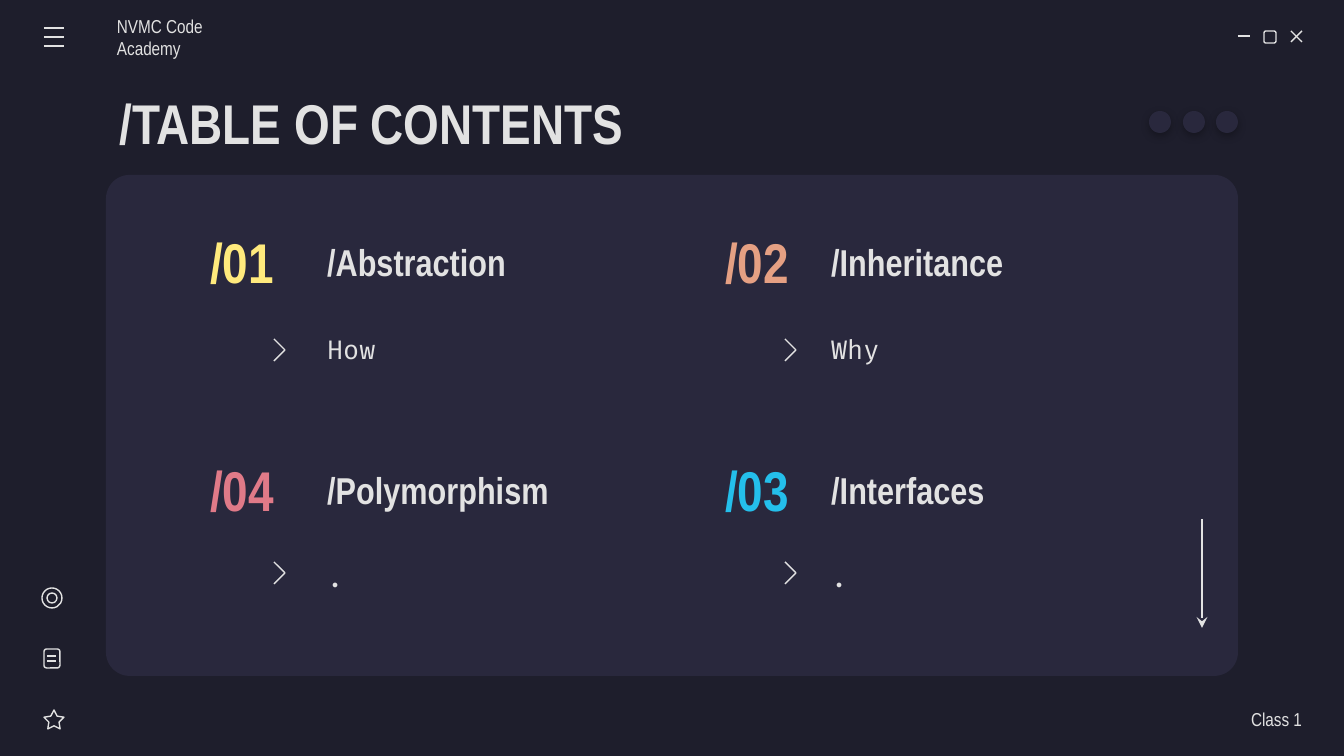
from dataclasses import dataclass

import lxml.etree
import pptx
import pptx.dml.color
import pptx.enum.shapes
import pptx.enum.text
import pptx.oxml
import pptx.oxml.ns
import pptx.util

SHAPE = pptx.enum.shapes.MSO_SHAPE
ALIGN = pptx.enum.text.PP_ALIGN
SHADOW_XML = (
    '<a:effectLst xmlns:a="http://schemas.openxmlformats.org/drawingml/2006/main">'
    '<a:outerShdw blurRad="57150" dist="19050" dir="5400000" algn="bl" rotWithShape="0">'
    '<a:srgbClr val="000000"><a:alpha val="30000"/></a:srgbClr>'
    '</a:outerShdw></a:effectLst>'
)


@dataclass(frozen=True)
class Theme:
    background: str = "1E1E2C"
    panel: str = "29283D"
    ink: str = "E2E2E2"
    yellow: str = "FFEA7D"
    orange: str = "E5A083"
    pink: str = "E07A88"
    blue: str = "24BFEB"
    heading_font: str = "Arial Narrow"
    code_font: str = "Fira Code"
    title_size: int = 30
    topic_size: int = 20
    detail_size: int = 14
    small_size: int = 10
    line_width: float = 0.75


def px(length):
    return pptx.util.Emu(round(length * 9144000 / 1344))


def rgb(code):
    return pptx.dml.color.RGBColor.from_string(code)


class SlideBuilder:
    def __init__(self, theme, slide):
        self.theme = theme
        self.slide = slide
        fill = slide.background.fill
        fill.solid()
        fill.fore_color.rgb = rgb(theme.background)

    def format_text(self, holder, box, words, size, color=None, font=None,
                    bold=False, align=ALIGN.LEFT, left_inset=0.1, right_inset=0.1):
        holder.left, holder.top, holder.width, holder.height = map(px, box)
        frame = holder.text_frame
        frame.word_wrap = True
        frame.auto_size = pptx.enum.text.MSO_AUTO_SIZE.NONE
        frame.vertical_anchor = pptx.enum.text.MSO_ANCHOR.MIDDLE
        frame.margin_left = pptx.util.Inches(left_inset)
        frame.margin_right = pptx.util.Inches(right_inset)
        frame.margin_top = frame.margin_bottom = pptx.util.Inches(0.1)
        frame.text = words
        paragraph = frame.paragraphs[0]
        paragraph.alignment = align
        paragraph.font.name = font or self.theme.heading_font
        paragraph.font.size = pptx.util.Pt(size)
        paragraph.font.bold = bold
        paragraph.font.color.rgb = rgb(color or self.theme.ink)

    def title(self, box, words):
        self.format_text(self.slide.shapes.title, box, words, self.theme.title_size, bold=True)

    def text(self, box, words, size, **style):
        holder = self.slide.shapes.add_textbox(*map(px, box))
        self.format_text(holder, box, words, size, **style)

    def stroke(self, line):
        line.color.rgb = rgb(self.theme.ink)
        line.width = pptx.util.Pt(self.theme.line_width)

    def solid(self, kind, box, corner=None, shadow=False):
        shape = self.slide.shapes.add_shape(kind, *map(px, box))
        shape.fill.solid()
        shape.fill.fore_color.rgb = rgb(self.theme.panel)
        shape.line.fill.background()
        if corner is not None:
            shape.adjustments[0] = corner
        if shadow:
            shape._element.spPr.append(pptx.oxml.parse_xml(SHADOW_XML))
        else:
            shape.shadow.inherit = False

    def outline(self, kind, box, adjustment=None):
        shape = self.slide.shapes.add_shape(kind, *map(px, box))
        shape.shadow.inherit = False
        shape.fill.background()
        self.stroke(shape.line)
        if adjustment is not None:
            shape.adjustments[0] = adjustment

    def line(self, x1, y1, x2, y2, arrow=False):
        connector = self.slide.shapes.add_connector(
            pptx.enum.shapes.MSO_CONNECTOR.STRAIGHT, px(x1), px(y1), px(x2), px(y2))
        self.stroke(connector.line)
        qn = pptx.oxml.ns.qn
        if arrow:
            lxml.etree.SubElement(connector.line._get_or_add_ln(), qn("a:tailEnd"), type="stealth")
        lxml.etree.SubElement(connector._element.spPr, qn("a:effectLst"))

    def chevron(self, left, top):
        outline = self.slide.shapes.build_freeform(px(left), px(top))
        outline.add_line_segments(
            [(px(left + 11), px(top + 11)), (px(left), px(top + 22))], close=False)
        shape = outline.convert_to_shape()
        shape.shadow.inherit = False
        shape.fill.background()
        self.stroke(shape.line)


def draw_window_frame(page):
    page.solid(SHAPE.ROUNDED_RECTANGLE, (106, 175, 1132, 501), corner=0.047)
    page.line(1238, 36, 1250, 36)
    page.outline(SHAPE.ROUNDED_RECTANGLE, (1264, 31, 12, 12))
    page.line(1291, 31, 1302, 42)
    page.line(1302, 31, 1291, 42)
    for left in (1149, 1183, 1216):
        page.solid(SHAPE.OVAL, (left, 111, 22, 22), shadow=True)


def draw_side_icons(page):
    for y in (28, 37, 46):
        page.line(44, y, 64, y)
    page.outline(SHAPE.OVAL, (42, 588, 20, 20))
    page.outline(SHAPE.OVAL, (47, 593, 10, 10))
    page.outline(SHAPE.ROUNDED_RECTANGLE, (44, 649, 16, 19))
    for y in (656, 661):
        page.line(47, y, 56, y)
    page.outline(SHAPE.STAR_5_POINT, (44, 710, 20, 19), adjustment=0.254)


def draw_contents(page):
    theme = page.theme
    # Left edges of number, topic and chevron; then row tops of topic and chevron, topic width.
    columns = ((181, 314, 274), (696, 818, 785))
    rows = ((224, 339, 343), (452, 562, 357))
    entries = (
        (0, 0, "/01", "/Abstraction", "How", theme.yellow),
        (1, 0, "/02", "/Inheritance", "Why", theme.orange),
        (0, 1, "/04", "/Polymorphism", ".", theme.pink),
        (1, 1, "/03", "/Interfaces", ".", theme.blue),
    )
    for column, row, number, topic, detail, color in entries:
        number_left, topic_left, chevron_left = columns[column]
        top, chevron_top, topic_width = rows[row]
        page.text((topic_left, top, topic_width, 75), topic, theme.topic_size, bold=True)
        page.text((number_left, top, 122, 75), number, theme.title_size,
                  color=color, bold=True, align=ALIGN.CENTER)
        page.text((topic_left, top + 75, 343, 101), detail, theme.detail_size,
                  font=theme.code_font)
        page.chevron(chevron_left, chevron_top)


def main():
    theme = Theme()
    deck = pptx.Presentation()
    deck.slide_width, deck.slide_height = px(1344), px(756)
    page = SlideBuilder(theme, deck.slides.add_slide(deck.slide_layouts[5]))
    page.title((106, 80, 1132, 84), "/TABLE OF CONTENTS")
    draw_window_frame(page)
    draw_contents(page)
    page.text((117, 17, 157, 40), "NVMC Code Academy", theme.small_size, left_inset=0)
    draw_side_icons(page)
    page.text((1145, 699, 157, 40), "Class 1", theme.small_size,
              align=ALIGN.RIGHT, right_inset=0)
    page.line(1202, 519, 1202, 628, arrow=True)
    deck.save("out.pptx")


if __name__ == "__main__":
    main()
